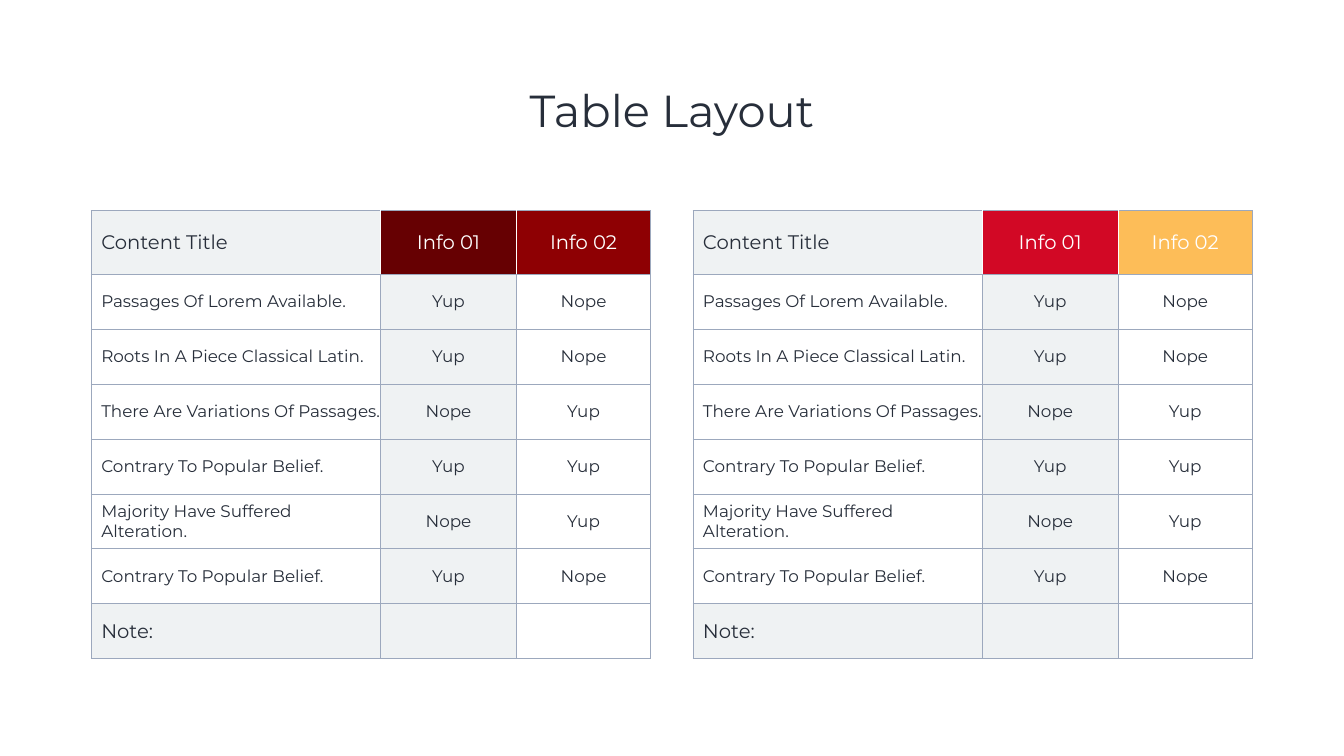
from lxml import etree
from pptx import Presentation
from pptx.dml.color import RGBColor
from pptx.enum.text import MSO_ANCHOR, PP_ALIGN
from pptx.oxml.ns import qn
from pptx.util import Inches, Pt

MIDDLE = MSO_ANCHOR.MIDDLE
LEFT, CENTER = PP_ALIGN.LEFT, PP_ALIGN.CENTER

FONT = "Montserrat"
INK = RGBColor(0x27, 0x2E, 0x3A)
WHITE = RGBColor(0xFF, 0xFF, 0xFF)
PALE = RGBColor(0xEF, 0xF2, 0xF3)
GRID = RGBColor(0x9C, 0xA8, 0xBD)
MAROON = RGBColor(0x66, 0x00, 0x02)
DARK_RED = RGBColor(0x8E, 0x00, 0x03)
RED = RGBColor(0xD2, 0x08, 0x25)
AMBER = RGBColor(0xFD, 0xBD, 0x58)

TITLE = "Table Layout"
ROWS = [
    ("Content Title", "Info 01", "Info 02"),
    ("Passages Of Lorem Available.", "Yup", "Nope"),
    ("Roots In A Piece Classical Latin.", "Yup", "Nope"),
    ("There Are Variations Of Passages.", "Nope", "Yup"),
    ("Contrary To Popular Belief.", "Yup", "Yup"),
    ("Majority Have Suffered Alteration.", "Nope", "Yup"),
    ("Contrary To Popular Belief.", "Yup", "Nope"),
    ("Note:", "", ""),
]
TABLES = [
    (1.81, (PALE, MAROON, DARK_RED)),
    (13.75, (PALE, RED, AMBER)),
]
TABLE_TOP = 4.18
COLUMN_WIDTHS = (5.74, 2.7, 2.66)
HEADER_HEIGHT, ROW_HEIGHT = 1.26, 1.09
LAST_ROW = len(ROWS) - 1
LAST_COLUMN = len(COLUMN_WIDTHS) - 1


def style_font(font, size, color):
    font.name = FONT
    font.size = Pt(size)
    font.color.rgb = color


def add_borders(cell, left, right):
    properties = cell._tc.get_or_add_tcPr()
    for side, color in (("L", left), ("R", right), ("T", GRID), ("B", GRID)):
        line = etree.SubElement(properties, qn(f"a:ln{side}"), w=str(Pt(1)))
        fill = etree.SubElement(line, qn("a:solidFill"))
        etree.SubElement(fill, qn("a:srgbClr"), val=str(color))


def cell_fill(row, column, header_fills):
    if row == 0:
        return header_fills[column]
    if column == 1 or (row == LAST_ROW and column == 0):
        return PALE
    return None


def format_cell(cell, row, column, header_fills):
    is_header = row == 0
    cell.vertical_anchor = MIDDLE
    cell.margin_left = Inches(0.2 if column == 0 else 0)
    cell.margin_right = cell.margin_top = cell.margin_bottom = 0
    add_borders(
        cell,
        WHITE if is_header and column > 0 else GRID,
        WHITE if is_header and column < LAST_COLUMN else GRID,
    )
    color = cell_fill(row, column, header_fills)
    if color is None:
        cell.fill.background()
    else:
        cell.fill.solid()
        cell.fill.fore_color.rgb = color
    cell.text_frame.text = ROWS[row][column]
    paragraph = cell.text_frame.paragraphs[0]
    paragraph.alignment = LEFT if column == 0 else CENTER
    size = 28 if row in (0, LAST_ROW) else 24
    for run in paragraph.runs:
        style_font(run.font, size, WHITE if is_header and column > 0 else INK)


def add_info_table(slide, left, header_fills):
    heights = [HEADER_HEIGHT] + [ROW_HEIGHT] * LAST_ROW
    table = slide.shapes.add_table(
        len(ROWS), len(COLUMN_WIDTHS), Inches(left), Inches(TABLE_TOP),
        Inches(sum(COLUMN_WIDTHS)), Inches(sum(heights)),
    ).table
    table.first_row = False
    table.horz_banding = False
    for column, width in zip(table.columns, COLUMN_WIDTHS):
        column.width = Inches(width)
    for row, height in enumerate(heights):
        table.rows[row].height = Inches(height)
        for column in range(len(COLUMN_WIDTHS)):
            format_cell(table.cell(row, column), row, column, header_fills)


def add_title(slide):
    title = slide.shapes.title
    title.left, title.top = Inches(1.83), Inches(0.8)
    title.width, title.height = Inches(23), Inches(2.9)
    title.text_frame.text = TITLE
    title.text_frame.vertical_anchor = MIDDLE
    paragraph = title.text_frame.paragraphs[0]
    paragraph.alignment = CENTER
    paragraph.line_spacing = 0.9
    style_font(paragraph.runs[0].font, 64, INK)


def main():
    presentation = Presentation()
    presentation.slide_width = Inches(26.67)
    presentation.slide_height = Inches(15)
    slide = presentation.slides.add_slide(presentation.slide_layouts[5])
    for left, header_fills in TABLES:
        add_info_table(slide, left, header_fills)
    add_title(slide)
    presentation.save("out.pptx")


if __name__ == "__main__":
    main()
